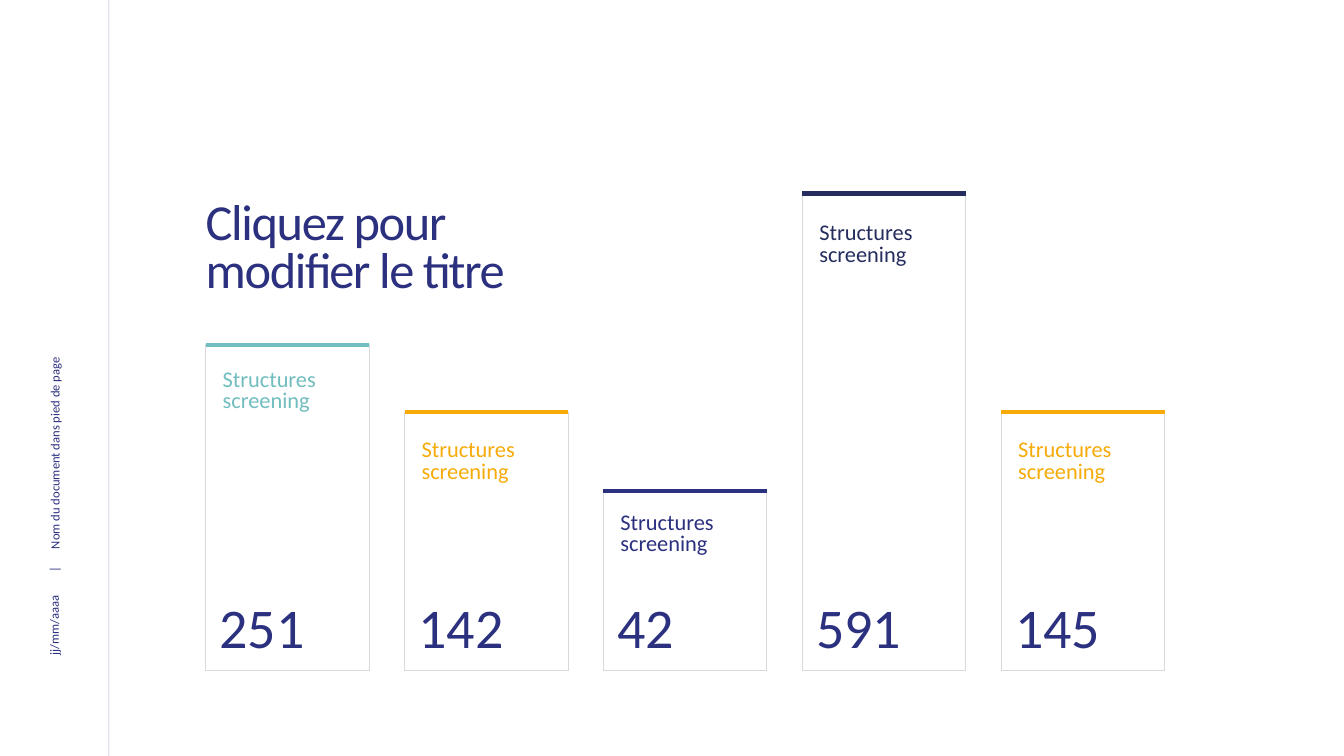
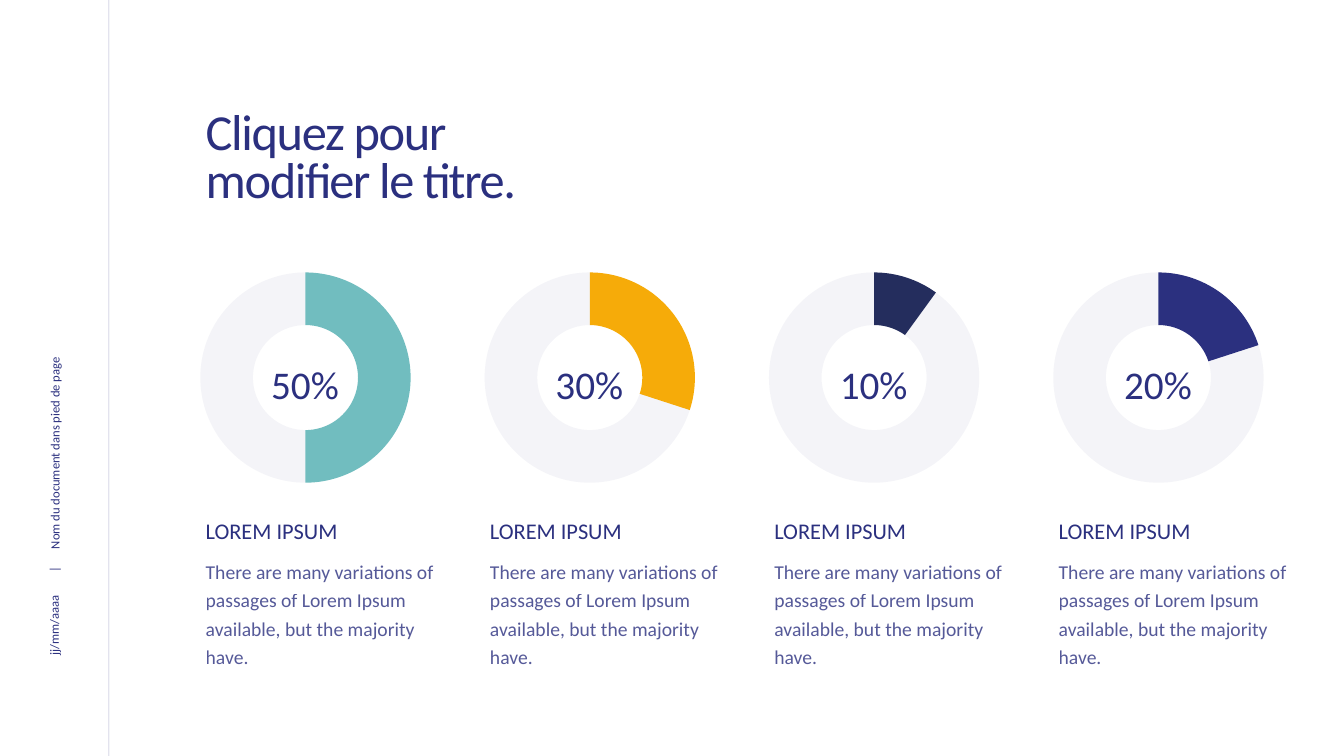
from copy import deepcopy

from lxml.etree import SubElement
from pptx import Presentation
from pptx.chart.data import CategoryChartData
from pptx.dml.color import RGBColor
from pptx.enum.chart import XL_CHART_TYPE
from pptx.enum.shapes import MSO_CONNECTOR, MSO_SHAPE
from pptx.enum.text import MSO_ANCHOR, MSO_AUTO_SIZE, PP_ALIGN
from pptx.oxml import parse_xml
from pptx.oxml.ns import nsdecls, qn
from pptx.util import Inches, Pt

NAVY = RGBColor(0x2B, 0x30, 0x7F)
DARK = RGBColor(0x24, 0x2D, 0x5D)
TEAL = RGBColor(0x71, 0xBD, 0xBF)
GOLD = RGBColor(0xF6, 0xAB, 0x09)
GREY = RGBColor(0xD9, 0xD9, 0xD9)
FONT = "Calibri"
LEFT = 2.04
BODY = ("There are many variations of passages of Lorem Ipsum "
        "available, but the majority have.")
CARDS = [
    ("251", 3.42, 0.2, TEAL),
    ("142", 4.09, 0.23, GOLD),
    ("42", 4.87, 0.17, NAVY),
    ("591", 1.92, 0.25, DARK),
    ("145", 4.09, 0.23, GOLD),
]
RINGS = [(50, TEAL), (30, GOLD), (10, DARK), (20, NAVY)]


def fade(fill, share):
    for color in fill.iter(qn("a:srgbClr")):
        SubElement(color, qn("a:alpha")).set("val", str(share * 1000))


def write(frame, text, size, color=NAVY, space=1.0, align=PP_ALIGN.LEFT,
          anchor=MSO_ANCHOR.TOP, inset=(0.1, 0.05, 0.1, 0.05)):
    frame.text = text
    frame.word_wrap = True
    frame.auto_size = MSO_AUTO_SIZE.NONE
    frame.vertical_anchor = anchor
    (frame.margin_left, frame.margin_top,
     frame.margin_right, frame.margin_bottom) = map(Inches, inset)
    for para in frame.paragraphs:
        para.alignment = align
        para.line_spacing = space
        for run in para.runs:
            run.font.name = FONT
            run.font.size = Pt(size)
            run.font.color.rgb = color


def add_text(slide, box, text, size, turn=0, **style):
    shape = slide.shapes.add_textbox(*map(Inches, box))
    shape.rotation = turn
    write(shape.text_frame, text, size, **style)
    return shape


def add_line(slide, ends, color, width, share=100):
    line = slide.shapes.add_connector(
        MSO_CONNECTOR.STRAIGHT, *map(Inches, ends))
    line.line.color.rgb = color
    line.line.width = Pt(width)
    props = line._element.spPr
    if share < 100:
        fade(props, share)
    SubElement(props, qn("a:effectLst"))


def add_title(slide, top, text):
    title = slide.shapes.title
    title.left, title.top, title.width, title.height = map(
        Inches, (LEFT, top, 4.62, 1.77))
    write(title.text_frame, text, 36, space=0.8, inset=(0, 0.21, 0, 0))
    para = title.text_frame.paragraphs[0]
    for run in para.runs:
        run.font._element.set("spc", "-100")
    for gap in para._p.findall(qn("a:br")):
        gap.append(deepcopy(para.runs[0].font._element))


def add_side(slide):
    add_line(slide, (1.08, 0, 1.08, 7.5), NAVY, 0.5, share=36)
    add_text(slide, (0.41, 5.5, 0.25, 0.31), "|", 9, turn=270, space=1.2)
    add_text(slide, (-0.87, 3.98, 2.82, 0.31),
             "Nom du document dans pied de page", 9, turn=270,
             anchor=MSO_ANCHOR.MIDDLE)
    add_text(slide, (0.1, 6, 0.87, 0.33), "jj/mm/aaaa", 9, turn=270,
             anchor=MSO_ANCHOR.MIDDLE)


def add_card(slide, left, top, value, gap, color):
    width, base = 1.62, 6.65
    card = slide.shapes.add_shape(
        MSO_SHAPE.RECTANGLE, *map(Inches, (left, top, width, base - top)))
    card.shadow.inherit = False
    card.fill.background()
    card.line.color.rgb = GREY
    card.line.width = Pt(0.5)
    add_line(slide, (left, top, left + width, top), color, 3)
    add_text(slide, (left + 0.07, top + gap, 1.55, 0.93),
             "Structures\nscreening", 16, color=color, space=0.8)
    add_text(slide, (left + 0.04, base - 0.69, 1.59, 0.56), value, 40,
             space=0.8)


def add_ring(slide, box, value, color):
    data = CategoryChartData()
    data.categories = ["1", "2"]
    data.add_series("Series 1", (value, 100 - value))
    chart = slide.shapes.add_chart(
        XL_CHART_TYPE.DOUGHNUT, *map(Inches, box), data).chart
    chart.has_legend = False
    chart.has_title = False
    chart.font.name = FONT
    chart.font.size = Pt(10)
    chart.font.color.rgb = NAVY
    plot = chart.plots[0]
    plot.vary_by_categories = True
    for index, tint in enumerate((color, NAVY)):
        part = plot.series[0].points[index].format
        part.fill.solid()
        part.fill.fore_color.rgb = tint
        part.line.fill.background()
    rest = plot.series[0]._element.findall(qn("c:dPt"))[1]
    fade(rest, 5)
    area = chart._chartSpace.find(".//" + qn("c:plotArea"))
    area.find(".//" + qn("c:holeSize")).set("val", "80")
    old = area.find(qn("c:layout"))
    if old is not None:
        area.remove(old)
    wide, high = 2.08 / box[2], 2.08 / box[3]
    sizes = {"x": (1 - wide) / 2, "y": (1 - high) / 2, "w": wide, "h": high}
    marks = "".join(f'<c:{key}Mode val="edge"/>' for key in "xy")
    marks += "".join(f'<c:{key} val="{size:.2f}"/>'
                     for key, size in sizes.items())
    area.insert(0, parse_xml(
        f'<c:layout {nsdecls("c")}><c:manualLayout>'
        f'<c:layoutTarget val="inner"/>{marks}'
        '</c:manualLayout></c:layout>'))


def add_column(slide, left, top, value, color):
    add_ring(slide, (left - 0.5, top, 2.98, 2.35), value, color)
    add_text(slide, (left + 0.35, top + 0.88, 1.27, 0.57), f"{value}%", 28,
             space=1.45, align=PP_ALIGN.CENTER, anchor=MSO_ANCHOR.MIDDLE,
             inset=(0.1, 0, 0.1, 0.05))
    flush = (0, 0.05, 0, 0.05)
    add_text(slide, (left, top + 2.59, 2.35, 0.29), "LOREM IPSUM", 16,
             space=0.7, inset=flush)
    body = add_text(slide, (left, top + 2.9, 2.32, 1.21), BODY, 14,
                    space=1.2, inset=flush)
    fade(body._element, 80)


def add_page(deck, top, text):
    slide = deck.slides.add_slide(deck.slide_layouts[5])
    add_title(slide, top, text)
    add_side(slide)
    return slide


def add_cards(deck):
    slide = add_page(deck, 1.79, "Cliquez pour\vmodifier le titre")
    step = (9.93 - LEFT) / (len(CARDS) - 1)
    for index, (value, top, gap, color) in enumerate(CARDS):
        add_card(slide, LEFT + index * step, top, value, gap, color)


def add_rings(deck):
    slide = add_page(deck, 0.9, "Cliquez pour\vmodifier le titre.")
    for index, (value, color) in enumerate(RINGS):
        add_column(slide, LEFT + index * 2.82, 2.56, value, color)


def main():
    deck = Presentation()
    deck.slide_width = Inches(13.33)
    deck.slide_height = Inches(7.5)
    add_cards(deck)
    add_rings(deck)
    deck.save("out.pptx")


if __name__ == "__main__":
    main()
